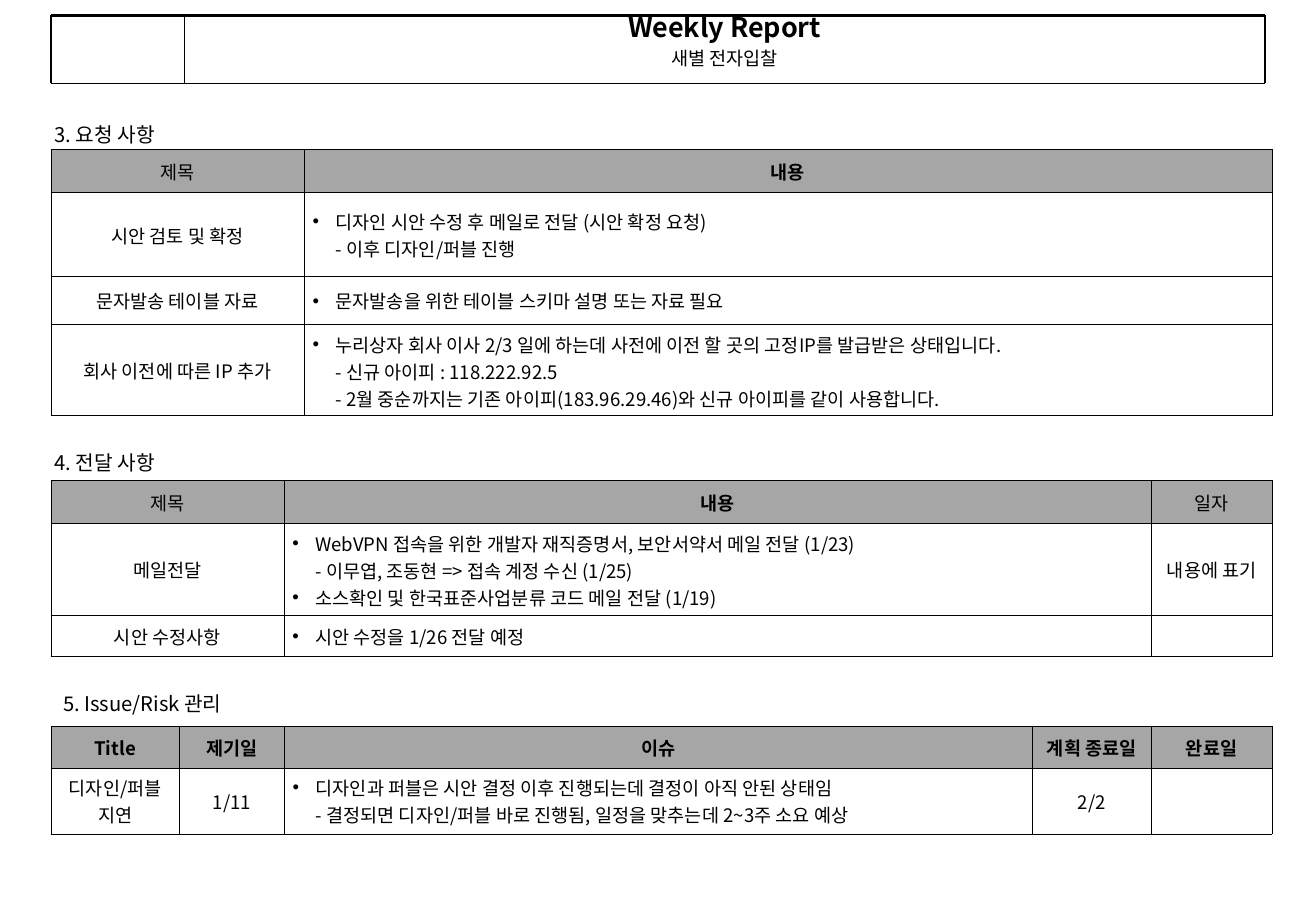
from lxml.etree import SubElement
from pptx import Presentation
from pptx.dml.color import RGBColor as Rgb
from pptx.enum.shapes import MSO_CONNECTOR as Connector
from pptx.enum.text import MSO_ANCHOR as Anchor, MSO_AUTO_SIZE as AutoSize, PP_ALIGN as Align
from pptx.oxml import parse_xml
from pptx.oxml.ns import nsdecls, qn
from pptx.util import Pt

COLORS = {"ink": "000000", "header": "A6A6A6"}
FONT = "Noto Sans CJK KR"
BODY_SIZE = 11
BORDER_WIDTH = 0.45
BULLET_INDENT = 13.7
TABLE_LEFT = 30.2


class ReportSlide:
    """Holds the report style and draws on one slide."""

    def __init__(self, deck):
        self.slide = deck.slides.add_slide(deck.slide_layouts[5])

    def span(self, para, text, size=BODY_SIZE, bold=False):
        run = para.add_run()
        run.text = text
        font = run.font
        font.size, font.bold, font.name = Pt(size), bold, FONT
        font.color.rgb = Rgb.from_string(COLORS["ink"])

    def title(self, rect, title, subtitle):
        box = self.slide.shapes.title
        box.left, box.top, box.width, box.height = map(Pt, rect)
        frame = box.text_frame
        frame.word_wrap, frame.auto_size = True, AutoSize.NONE
        frame.vertical_anchor = Anchor.TOP
        frame.margin_left = frame.margin_right = Pt(7.2)
        frame.margin_top = frame.margin_bottom = 0
        first, second = frame.paragraphs[0], frame.add_paragraph()
        first.alignment = second.alignment = Align.CENTER
        first.space_before, second.space_before = Pt(0), Pt(4.4)
        first.line_spacing = second.line_spacing = 0.85
        self.span(first, title, 16, True)
        self.span(second, subtitle)

    def line(self, start, end, width):
        line = self.slide.shapes.add_connector(Connector.STRAIGHT, *map(Pt, start + end))
        line.line.width = Pt(width)
        line.line.color.rgb = Rgb.from_string(COLORS["ink"])
        SubElement(line._element.spPr, qn("a:effectLst"))

    def heading(self, left, top, width, text):
        box = self.slide.shapes.add_textbox(*map(Pt, (left, top, width, 21.6)))
        frame = box.text_frame
        frame.word_wrap, frame.auto_size = False, AutoSize.SHAPE_TO_FIT_TEXT
        self.span(frame.paragraphs[0], text, 12)

    def border(self, cell):
        properties = cell._tc.get_or_add_tcPr()
        for index, side in enumerate(("lnL", "lnR", "lnT", "lnB")):
            properties.insert(index, parse_xml(
                f'<a:{side} {nsdecls("a")} w="{Pt(BORDER_WIDTH)}"><a:solidFill>'
                f'<a:srgbClr val="{COLORS["ink"]}"/></a:solidFill></a:{side}>'))

    def bullet(self, para):
        properties = para._p.get_or_add_pPr()
        properties.set("marL", str(Pt(BULLET_INDENT)))
        properties.set("indent", str(-Pt(BULLET_INDENT)))
        color = SubElement(SubElement(properties, qn("a:buClr")), qn("a:srgbClr"))
        color.set("val", COLORS["ink"])
        SubElement(properties, qn("a:buFont")).set("typeface", "Arial")
        SubElement(properties, qn("a:buChar")).set("char", "•")

    def fill_cell(self, cell, paragraphs, bulleted, bold):
        """Each paragraph is a string; a newline in it is a line break."""
        frame = cell.text_frame
        for index, text in enumerate(paragraphs):
            para = frame.paragraphs[0] if index == 0 else frame.add_paragraph()
            if bulleted:
                self.bullet(para)
            else:
                para.alignment = Align.CENTER
            for number, part in enumerate(text.split("\n")):
                if number:
                    para.add_line_break()
                self.span(para, part, bold=bold)
        if not paragraphs:
            end = SubElement(frame.paragraphs[0]._p, qn("a:endParaRPr"))
            end.set("sz", str(BODY_SIZE * 100))

    def table(self, top, widths, heights, rows, bullet_column, bold_columns):
        frame = self.slide.shapes.add_table(
            len(heights), len(widths),
            *map(Pt, (TABLE_LEFT, top, sum(widths), sum(heights))))
        table = frame.table
        table.first_row = table.horz_banding = False
        for column, width in zip(table.columns, widths):
            column.width = Pt(width)
        for row, height in zip(table.rows, heights):
            row.height = Pt(height)
        for r, row in enumerate(rows):
            for c, paragraphs in enumerate(row):
                cell, is_header = table.cell(r, c), r == 0
                cell.vertical_anchor = Anchor.MIDDLE
                cell.margin_left = cell.margin_right = Pt(5)
                cell.margin_top = cell.margin_bottom = Pt(3.6)
                if is_header:
                    cell.fill.solid()
                    cell.fill.fore_color.rgb = Rgb.from_string(COLORS["header"])
                else:
                    cell.fill.background()
                self.border(cell)
                self.fill_cell(cell, paragraphs, c == bullet_column and not is_header,
                               is_header and c in bold_columns)


def main():
    deck = Presentation()
    deck.slide_width, deck.slide_height = Pt(780.48), Pt(540)
    page = ReportSlide(deck)

    # Report header with its frame
    left, divider, right, top, bottom = 30.2, 109.4, 750.2, 9.1, 49.4
    page.title((divider, top, right - divider, bottom - top), "Weekly Report", "새별 전자입찰")
    for x, width in ((divider, 0.25), (left, 1.5), (right, 1.5)):
        page.line((x, top), (x, bottom), width)
    for y, width in ((top, 1.5), (bottom, 0.25)):
        page.line((left, y), (right, y), width)

    # Requests
    page.heading(25.2, 68.7, 77.8, "3. 요청 사항")
    page.table(88.6, (150.2, 574), (25.7, 49.8, 28.3, 54), [
        [["제목"], ["내용"]],
        [["시안 검토 및 확정"],
         ["디자인 시안 수정 후 메일로 전달 (시안 확정 요청)\n- 이후 디자인/퍼블 진행"]],
        [["문자발송 테이블 자료"], ["문자발송을 위한 테이블 스키마 설명 또는 자료 필요"]],
        [["회사 이전에 따른 IP 추가"],
         ["누리상자 회사 이사 2/3 일에 하는데 사전에 이전 할 곳의 고정IP를 발급받은 상태입니다.\n"
          "- 신규 아이피 : 118.222.92.5\n"
          "- 2월 중순까지는 기존 아이피(183.96.29.46)와 신규 아이피를 같이 사용합니다."]],
    ], bullet_column=1, bold_columns={1})

    # Notices
    page.heading(25.2, 263.1, 77.8, "4. 전달 사항")
    page.table(284.8, (138.2, 514.7, 71.3), (25.7, 54, 24.8), [
        [["제목"], ["내용"], ["일자"]],
        [["메일전달"],
         ["WebVPN 접속을 위한 개발자 재직증명서, 보안서약서 메일 전달 (1/23)\n"
          "- 이무엽, 조동현 => 접속 계정 수신 (1/25)",
          "소스확인 및 한국표준사업분류 코드 메일 전달 (1/19)"],
         ["내용에 표기"]],
        [["시안 수정사항"], ["시안 수정을 1/26 전달 예정"], []],
    ], bullet_column=1, bold_columns={1})

    # Issues and risks
    page.heading(30.4, 406.4, 115.2, "5. Issue/Risk 관리")
    page.table(430.4, (76.4, 62, 443.7, 70.6, 71.5), (24.8, 39.2), [
        [["Title"], ["제기일"], ["이슈"], ["계획 종료일"], ["완료일"]],
        [["디자인/퍼블", "지연"], ["1/11"],
         ["디자인과 퍼블은 시안 결정 이후 진행되는데 결정이 아직 안된 상태임\n"
          "- 결정되면 디자인/퍼블 바로 진행됨, 일정을 맞추는데 2~3주 소요 예상"],
         ["2/2"], []],
    ], bullet_column=2, bold_columns=set(range(5)))

    deck.save("out.pptx")


if __name__ == "__main__":
    main()
